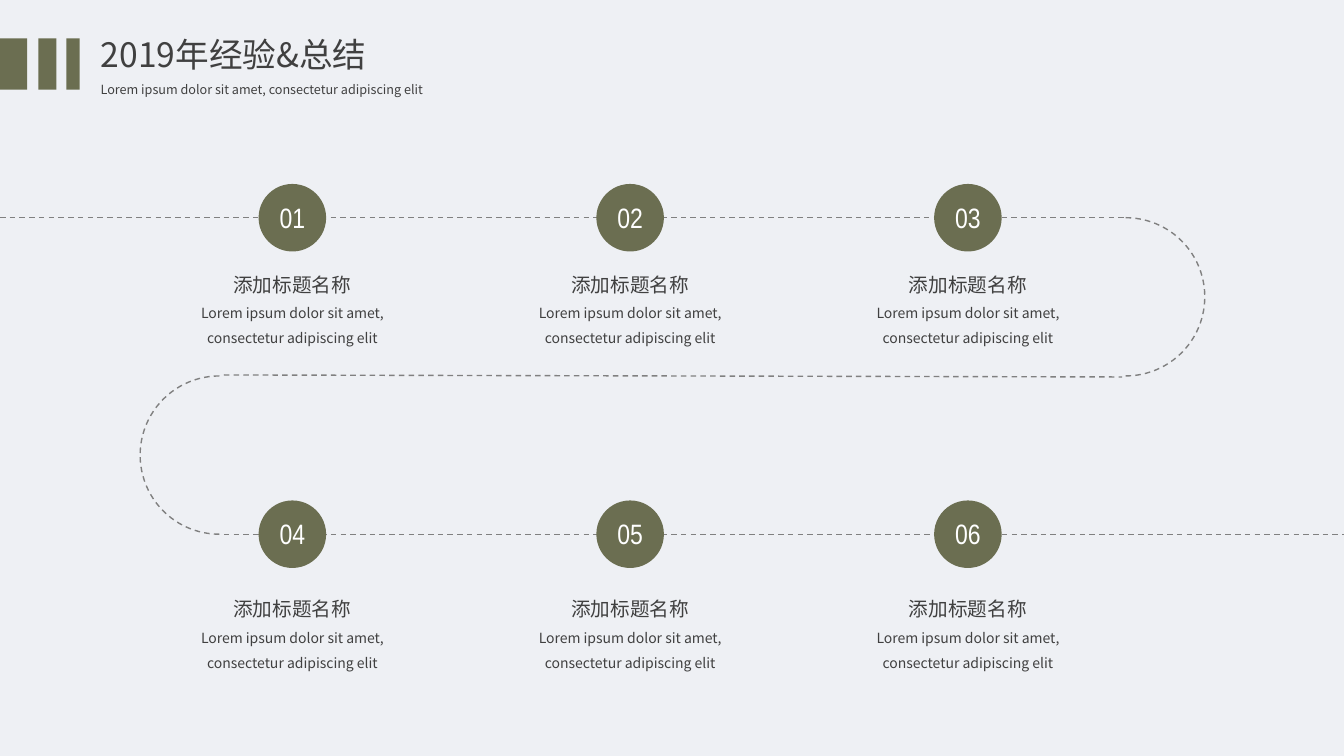
import pptx
import pptx.dml.color
import pptx.enum.dml
import pptx.enum.shapes
import pptx.enum.text
import pptx.oxml.ns
import pptx.util
from lxml import etree

Inches, Pt = pptx.util.Inches, pptx.util.Pt
RGBColor = pptx.dml.color.RGBColor
SHAPE = pptx.enum.shapes.MSO_SHAPE
ALIGN = pptx.enum.text.PP_ALIGN
ANCHOR = pptx.enum.text.MSO_ANCHOR
qn = pptx.oxml.ns.qn

TITLE = "2019年经验&总结"
LOREM = "Lorem ipsum dolor sit amet, consectetur adipiscing elit"
STEP_ROWS = [
    [("01", "添加标题名称"), ("02", "添加标题名称"), ("03", "添加标题名称")],
    [("04", "添加标题名称"), ("05", "添加标题名称"), ("06", "添加标题名称")],
]
HEADER_BARS = [(0, 0.27), (0.38, 0.18), (0.66, 0.13)]  # left, width
PATH_LINES = [(0, 2.16, 11.17, 2.16), (2.22, 3.72, 11.13, 3.74), (2.22, 5.3, 13.33, 5.3)]
PATH_BENDS = [(10.38, 2.16, False), (1.39, 3.73, True)]  # left, top, mirrored

OLIVE = RGBColor(0x6B, 0x6E, 0x51)
GREY = RGBColor(0x80, 0x80, 0x80)
DARK = RGBColor(0x40, 0x40, 0x40)
WHITE = RGBColor(0xFF, 0xFF, 0xFF)
BACKGROUND = RGBColor(0xEE, 0xF0, 0xF4)
SANS, NARROW = "Noto Sans CJK SC", "Arial Narrow"

FIRST_X, STEP_X = 2.9, 3.35
CIRCLE_Y, CAPTION_TOP = (2.16, 5.3), (2.54, 5.76)
CIRCLE, BEND = 0.67, 1.57
NUMBER_W, NUMBER_H = 0.46, 0.44
CAPTION_W, CAPTION_H = 2.4, 0.96


def write(sp, lines, font=SANS, color=DARK, align=ALIGN.LEFT,
          anchor=ANCHOR.TOP, spacing=1.0, wrap=True):
    """Fill a shape with (text, size) lines, one paragraph each."""
    tf = sp.text_frame
    tf.word_wrap = wrap
    tf.auto_size = pptx.enum.text.MSO_AUTO_SIZE.SHAPE_TO_FIT_TEXT
    tf.vertical_anchor = anchor
    for i, (text, size) in enumerate(lines):
        p = tf.add_paragraph() if i else tf.paragraphs[0]
        p.alignment, p.line_spacing = align, spacing
        r = p.add_run()
        r.text = text
        r.font.size, r.font.name = Pt(size), font
        r.font.color.rgb = color
        etree.SubElement(r.font._element, qn("a:ea")).set("typeface", font)


def add_text(slide, left, top, width, height, lines, **style):
    box = slide.shapes.add_textbox(*map(Inches, (left, top, width, height)))
    write(box, lines, **style)


def add_solid(slide, kind, left, top, width, height):
    sp = slide.shapes.add_shape(kind, *map(Inches, (left, top, width, height)))
    sp.shadow.inherit = False
    sp.fill.solid()
    sp.fill.fore_color.rgb = OLIVE
    sp.line.fill.background()


def dash(line):
    line.color.rgb = GREY
    line.width = Pt(1)
    line.dash_style = pptx.enum.dml.MSO_LINE.DASH


def add_header(slide):
    title = slide.shapes.title
    title.left, title.top, title.width, title.height = map(Inches, (0.9, 0.28, 6.35, 0.51))
    write(title, [(TITLE, 24)], anchor=ANCHOR.MIDDLE)
    add_text(slide, 0.9, 0.69, 3.8, 0.3, [(LOREM, 9)], spacing=1.5)
    for left, width in HEADER_BARS:
        add_solid(slide, SHAPE.RECTANGLE, left, 0.38, width, 0.51)


def add_path(slide):
    for ends in PATH_LINES:
        line = slide.shapes.add_connector(
            pptx.enum.shapes.MSO_CONNECTOR.STRAIGHT, *map(Inches, ends))
        dash(line.line)
        etree.SubElement(line._element.spPr, qn("a:effectLst"))
    for left, top, mirrored in PATH_BENDS:
        arc = slide.shapes.add_shape(SHAPE.ARC, *map(Inches, (left, top, BEND, BEND)))
        arc.adjustments[0], arc.adjustments[1] = 162, 54.12
        arc.shadow.inherit = False
        arc.fill.background()
        dash(arc.line)
        if mirrored:
            arc._element.spPr.find(qn("a:xfrm")).set("flipH", "1")


def add_steps(slide):
    for row, y, caption_top in zip(STEP_ROWS, CIRCLE_Y, CAPTION_TOP):
        for col, (number, name) in enumerate(row):
            x = FIRST_X + col * STEP_X
            add_solid(slide, SHAPE.OVAL, x - CIRCLE / 2, y - CIRCLE / 2, CIRCLE, CIRCLE)
            add_text(slide, x - NUMBER_W / 2, y - NUMBER_H / 2, NUMBER_W, NUMBER_H,
                     [(number, 20)], font=NARROW, color=WHITE,
                     align=ALIGN.CENTER, wrap=False)
            add_text(slide, x - CAPTION_W / 2, caption_top, CAPTION_W, CAPTION_H,
                     [(name, 14), (LOREM, 10)], align=ALIGN.CENTER, spacing=1.5)


def main():
    prs = pptx.Presentation()
    prs.slide_width, prs.slide_height = Inches(13.33), Inches(7.5)
    slide = prs.slides.add_slide(prs.slide_layouts[5])
    slide.background.fill.solid()
    slide.background.fill.fore_color.rgb = BACKGROUND
    add_header(slide)
    add_path(slide)
    add_steps(slide)
    prs.save("out.pptx")


if __name__ == "__main__":
    main()
